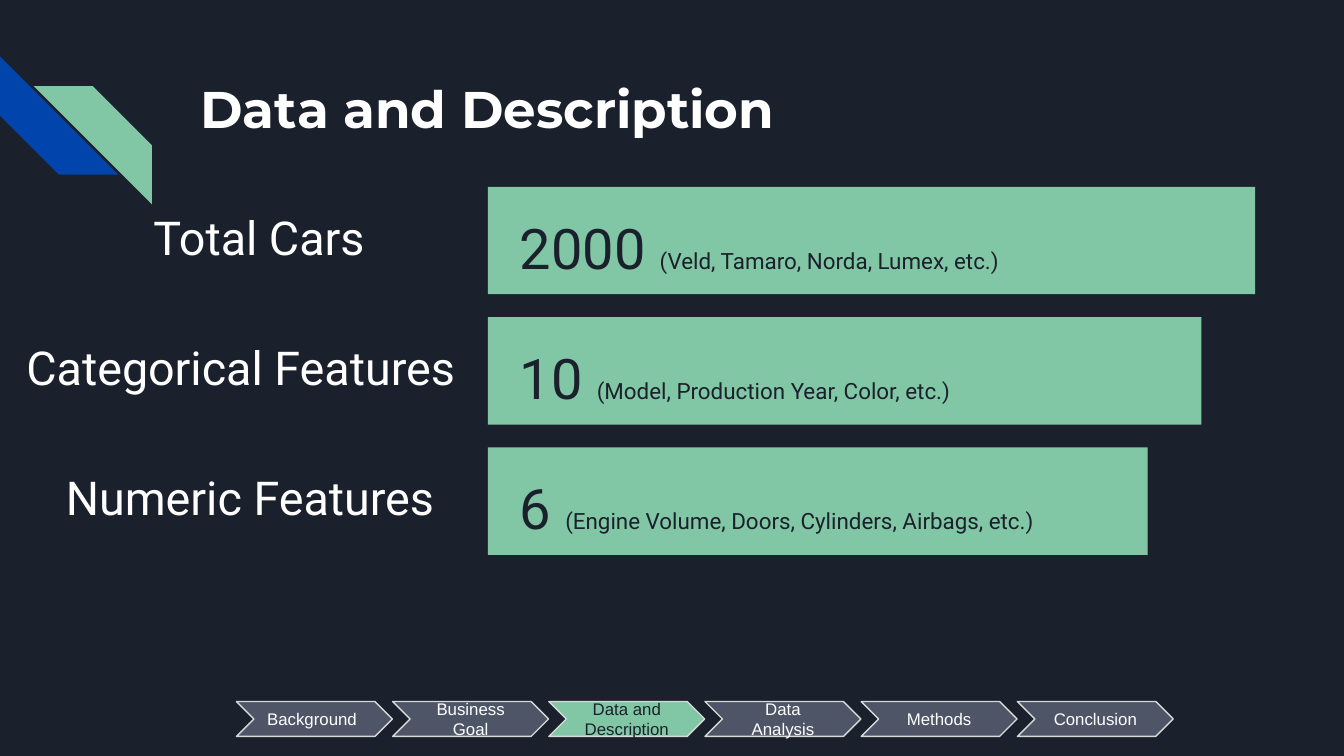
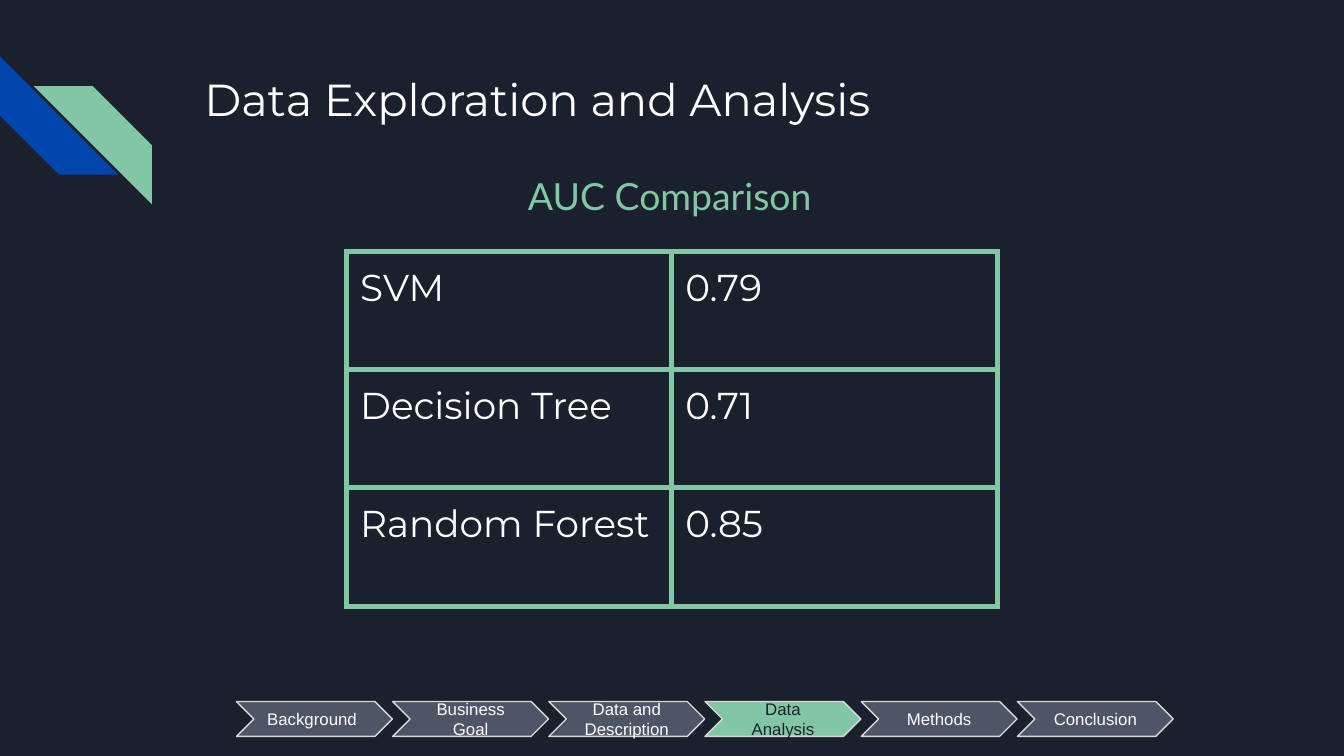
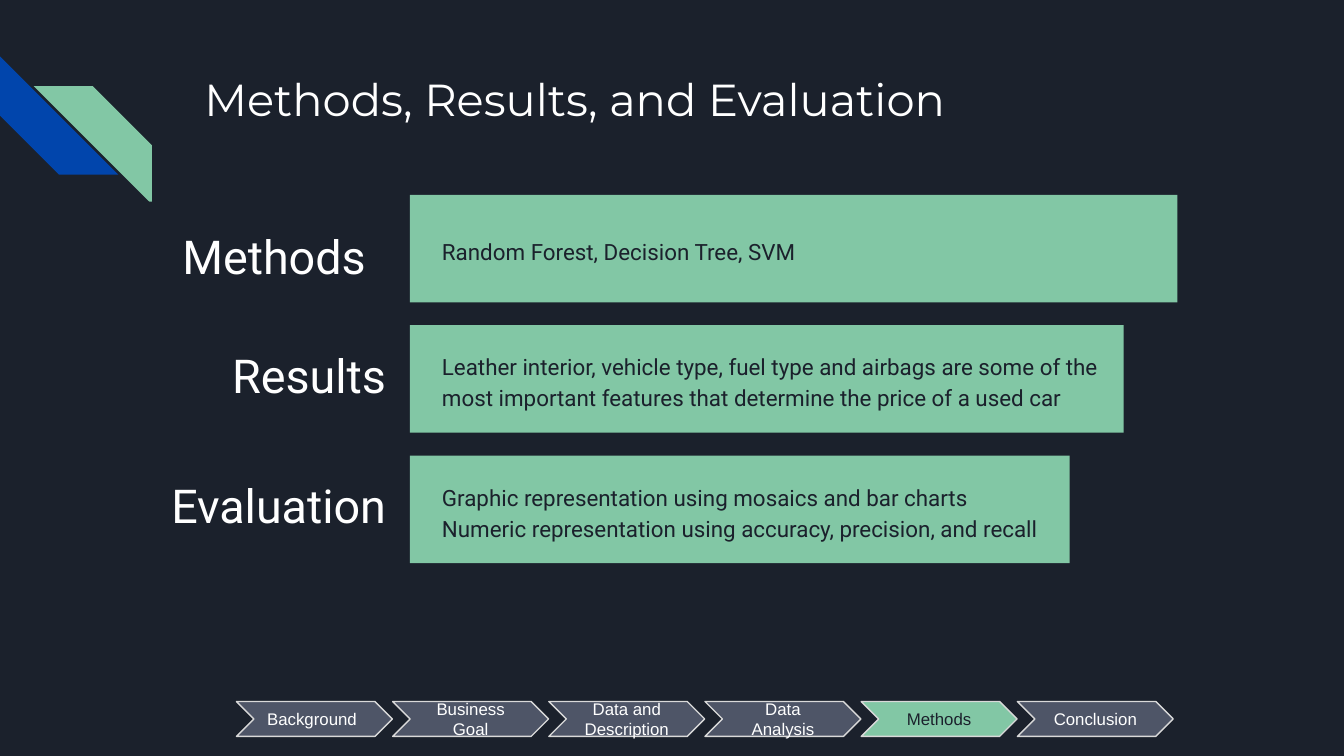
import pptx
import pptx.util
import pptx.dml.color
import pptx.enum.shapes
import pptx.enum.text
import pptx.oxml
import pptx.oxml.ns
from dataclasses import dataclass

Inches, Pt = pptx.util.Inches, pptx.util.Pt
SHAPE = pptx.enum.shapes.MSO_SHAPE
ALIGN = pptx.enum.text.PP_ALIGN
ANCHOR = pptx.enum.text.MSO_ANCHOR


@dataclass(frozen=True)
class Theme:
    dark: str = "1B212C"
    white: str = "FFFFFF"
    green: str = "82C7A5"
    blue: str = "0145AC"
    slate: str = "4E5567"
    outline: str = "D9D9D9"
    heading_font: str = "Montserrat"
    body_font: str = "Roboto"
    step_font: str = "Arial"
    caption_font: str = "Lato"
    title_size: float = 24
    label_size: float = 25
    number_size: float = 30
    detail_size: float = 12
    table_size: float = 20
    step_size: float = 9


theme = Theme()


def write(frame, spans, *, font, color, size=12, bold=False, align=ALIGN.LEFT,
          anchor=ANCHOR.TOP, spacing=None, inset=0.1):
    """Fill a text frame with one paragraph; spans is text or (text, size) pairs."""
    frame.word_wrap = True
    frame.auto_size = pptx.enum.text.MSO_AUTO_SIZE.NONE
    frame.vertical_anchor = anchor
    frame.margin_left = frame.margin_right = Inches(0.1)
    frame.margin_top = frame.margin_bottom = Inches(inset)
    para = frame.paragraphs[0]
    para.alignment = align
    para.line_spacing = spacing
    for text, span_size in [(spans, size)] if isinstance(spans, str) else spans:
        for number, line in enumerate(text.split("\n")):
            if number:
                para.add_line_break()
            span = para.add_run()
            span.text = line
            span.font.name = font
            span.font.size = Pt(span_size)
            span.font.bold = bold
            span.font.color.rgb = pptx.dml.color.RGBColor.from_string(color)


def add_box(page, kind, left, top, width, height, fill=None, line=None):
    """Add a preset shape, or a text box when kind is None."""
    place = [Inches(value) for value in (left, top, width, height)]
    if kind is None:
        box = page.shapes.add_textbox(*place)
    else:
        box = page.shapes.add_shape(kind, *place)
        box.shadow.inherit = False
        box.line.fill.background()
    if fill:
        box.fill.solid()
        box.fill.fore_color.rgb = pptx.dml.color.RGBColor.from_string(fill)
    if line:
        box.line.color.rgb = pptx.dml.color.RGBColor.from_string(line)
        box.line.width = Pt(0.75)
    return box


# Widescreen deck with a dark background
deck = pptx.Presentation()
deck.slide_width = Inches(10)
deck.slide_height = deck.slide_width * 9 // 16
layout = deck.slide_layouts[5]
for placeholder in list(layout.placeholders)[1:]:
    layout.shapes.element.remove(placeholder.element)
background = deck.slide_master.background.fill
background.solid()
background.fore_color.rgb = pptx.dml.color.RGBColor.from_string(theme.dark)

# Pages with their title and progress steps
steps = ["Background", "Business Goal", "Data and Description",
         "Data Analysis", "Methods", "Conclusion"]
first_step, last_step = 1.76, 7.57
step_pitch = (last_step - first_step) / (len(steps) - 1)
titles = [
    ("Data and Description", "Data and Description", 1.39, 0.47, 0.59, 27.6, True),
    ("Data Exploration and Analysis", "Data Analysis",
     1.42, 0.43, 1, theme.title_size, False),
    ("Methods, Results, and Evaluation", "Methods",
     1.42, 0.43, 1, theme.title_size, False),
]
pages = []
for text, current, left, top, height, size, bold in titles:
    page = deck.slides.add_slide(layout)
    pages.append(page)
    title = page.shapes.title
    title.left, title.top = Inches(left), Inches(top)
    title.width, title.height = Inches(7.7), Inches(height)
    write(title.text_frame, text, font=theme.heading_font, color=theme.white,
          size=size, bold=bold)
    for number, step in enumerate(steps):
        active = step == current
        chevron = add_box(page, SHAPE.CHEVRON, first_step + step_pitch * number, 5.22,
                          1.16, 0.26, theme.green if active else theme.slate, theme.outline)
        write(chevron.text_frame, step, font=theme.step_font, size=theme.step_size,
              color=theme.dark if active else theme.white, anchor=ANCHOR.MIDDLE,
              align=ALIGN.CENTER if number else ALIGN.LEFT)

# Corner stripes, moved to the layout so that every page shows them
data_page, analysis_page, methods_page = pages
blue_stripe = add_box(data_page, SHAPE.DIAGONAL_STRIPE, 0, 0.42, 0.88, 0.88, theme.blue)
blue_stripe.rotation = 270
green_stripe = add_box(data_page, SHAPE.DIAGONAL_STRIPE, 0.25, 0.64, 0.88, 0.88, theme.green)
green_stripe.element.spPr.xfrm.set("flipH", "1")
for stripe in (blue_stripe, green_stripe):
    layout.shapes.element.append(stripe.element)

# Labelled bars: label, label left and width, label fill, detail spans, detail width
number_size, detail_size = theme.number_size, theme.detail_size
data_rows = [
    ("Total Cars ", 0.39, 3.16, None,
     [("2000 ", number_size), ("(Veld, Tamaro, Norda, Lumex, etc.)", detail_size)], 5.21),
    ("Categorical Features", -0.15, 3.88, None,
     [("10 ", number_size), ("(Model, Production Year, Color, etc.)", detail_size)], 4.78),
    ("Numeric Features", 0.13, 3.46, None,
     [("6 ", number_size),
      ("(Engine Volume, Doors, Cylinders, Airbags, etc.)", detail_size)], 4.21),
]
methods_rows = [
    ([("Methods", theme.label_size), (" ", 44)], 0.78, 2.19, theme.dark,
     "Random Forest, Decision Tree, SVM", 5.21),
    ("Results", 0, 2.97, None,
     "Leather interior, vehicle type, fuel type and airbags are some of the most "
     "important features that determine the price of a used car", 5.1),
    ("Evaluation", 0.75, 2.22, None,
     "Graphic representation using mosaics and bar charts\n"
     "Numeric representation using accuracy, precision, and recall", 4.74),
]
bar_height, bar_pitch = 0.8, 0.97
for page, rows, bar_left, first_top, label_align in (
        (data_page, data_rows, 3.63, 1.39, ALIGN.CENTER),
        (methods_page, methods_rows, 3.05, 1.45, ALIGN.RIGHT)):
    for number, (label, left, width, fill, detail, detail_width) in enumerate(rows):
        top = first_top + bar_pitch * number
        label_box = add_box(page, None, left, top + 0.05, width, 0.69, fill)
        write(label_box.text_frame, label, font=theme.body_font, color=theme.white,
              size=theme.label_size, align=label_align, anchor=ANCHOR.MIDDLE,
              spacing=0.9, inset=0.05)
        add_box(page, SHAPE.RECTANGLE, bar_left, top, 5.71 - 0.4 * number,
                bar_height, theme.green)
        height = 0.36 if number else 0.63
        detail_box = add_box(page, None, bar_left + 0.14, top + 0.41 - height / 2,
                             detail_width, height)
        write(detail_box.text_frame, detail, font=theme.body_font, color=theme.dark,
              size=detail_size, anchor=ANCHOR.MIDDLE, spacing=1.15, inset=0.05)

# Comparison table
caption = add_box(analysis_page, None, 3.83, 1.19, 2.88, 0.54)
write(caption.text_frame, "AUC Comparison", font=theme.caption_font,
      color=theme.green, size=theme.table_size)
scores = [("SVM", "0.79"), ("Decision Tree", "0.71"), ("Random Forest", "0.85")]
table = analysis_page.shapes.add_table(
    3, 2, Inches(2.58), Inches(1.87), Inches(4.84), Inches(2.64)).table
table.first_row = table.horz_banding = False
for row, values in zip(table.rows, scores):
    for cell, value in zip(row.cells, values):
        write(cell.text_frame, value, font=theme.heading_font, color=theme.white,
              size=theme.table_size)
        cell.margin_left = cell.margin_right = Inches(0.1)
        cell.margin_top = cell.margin_bottom = Inches(0.1)
        properties = cell._tc.get_or_add_tcPr()
        for side in ("lnL", "lnR", "lnT", "lnB"):
            properties.append(pptx.oxml.parse_xml(
                f'<a:{side} {pptx.oxml.ns.nsdecls("a")} w="{Pt(3)}"><a:solidFill>'
                f'<a:srgbClr val="{theme.green}"/></a:solidFill></a:{side}>'))
        cell.fill.background()

deck.save("out.pptx")
